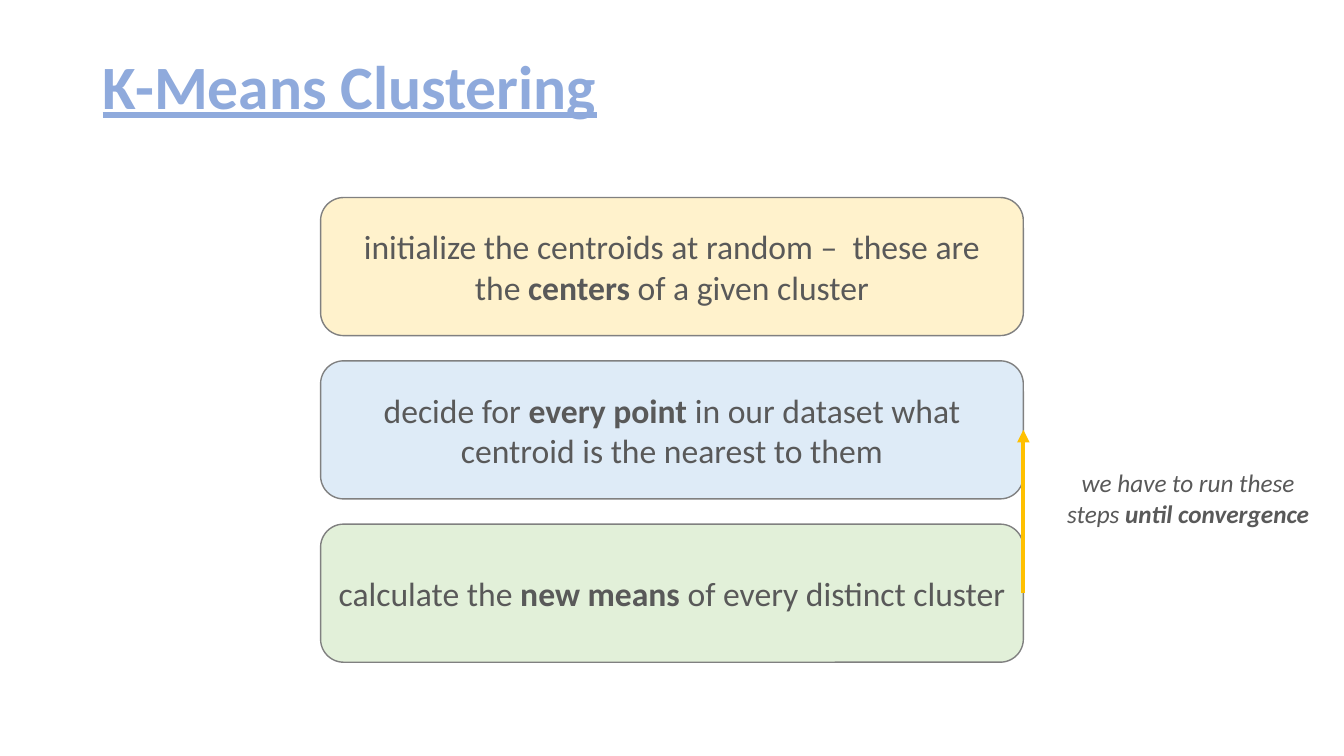
"""Build the K-Means Clustering slide."""
import dataclasses

import lxml.etree
import pptx
import pptx.dml.color
import pptx.enum.shapes
import pptx.enum.text
import pptx.oxml.ns
import pptx.util

Inches = pptx.util.Inches
Pt = pptx.util.Pt
Align = pptx.enum.text.PP_ALIGN
Anchor = pptx.enum.text.MSO_ANCHOR

WIDE, HIGH = 13.33, 7.5
LEFT, TOP, WIDTH, HEIGHT, PITCH = 3.18, 1.96, 6.97, 1.37, 1.62
RIGHT = 3
BEND = 228601
GREY, GOLD = "595959", "FFC000"


@dataclasses.dataclass
class Step:
    text: str
    fill: str


STEPS = [
    Step("initialize the centroids at random –  these are the *centers* of a given cluster", "FFF2CC"),
    Step("decide for *every point *in our dataset what centroid is the nearest to them", "DEEBF7"),
    Step("calculate the *new means *of every distinct cluster", "E2F0D9"),
]


def color(code: str) -> pptx.dml.color.RGBColor:
    """Turn a hex string into a colour."""
    return pptx.dml.color.RGBColor.from_string(code)


def write(frame, text: str, *, size: float, ink: str = GREY, align=Align.CENTER,
          anchor=Anchor.MIDDLE, wrap: bool = True, space: float = 1.0,
          bold: bool = False, italic: bool = False, under: bool = False) -> None:
    """Fill a frame, one paragraph a line, with starred parts in bold."""
    frame.word_wrap = wrap
    frame.vertical_anchor = anchor
    for row, line in enumerate(text.split("\n")):
        para = frame.add_paragraph() if row else frame.paragraphs[0]
        para.alignment = align
        para.line_spacing = space
        for part, words in enumerate(line.split("*")):
            if not words:
                continue
            run = para.add_run()
            run.text = words
            font = run.font
            font.name = "Calibri"
            font.size = Pt(size)
            font.color.rgb = color(ink)
            font.bold = bold or part % 2 == 1
            font.italic = italic
            font.underline = under


def add_step(slide, step: Step, row: int):
    """Draw one rounded box of the stack."""
    box = slide.shapes.add_shape(
        pptx.enum.shapes.MSO_SHAPE.ROUNDED_RECTANGLE,
        Inches(LEFT), Inches(TOP + row * PITCH), Inches(WIDTH), Inches(HEIGHT))
    box.shadow.inherit = False
    box.fill.solid()
    box.fill.fore_color.rgb = color(step.fill)
    box.line.color.rgb = color("808080")
    box.line.width = Pt(1)
    write(box.text_frame, step.text, size=24)
    return box


def add_loop(slide, start, end) -> None:
    """Draw the bent arrow that leads back from one box to another."""
    side = start.left + start.width
    loop = slide.shapes.add_connector(
        pptx.enum.shapes.MSO_CONNECTOR.ELBOW,
        side, start.top + start.height // 2, side, end.top + end.height // 2)
    loop.begin_connect(start, RIGHT)
    loop.end_connect(end, RIGHT)
    loop.line.color.rgb = color(GOLD)
    loop.line.width = Pt(3)
    props = loop._element.spPr
    qn = pptx.oxml.ns.qn
    lxml.etree.SubElement(props.find(qn("a:ln")), qn("a:tailEnd"), type="triangle")
    lxml.etree.SubElement(props, qn("a:effectLst"))
    guides = props.find(qn("a:prstGeom")).find(qn("a:avLst"))
    lxml.etree.SubElement(guides, qn("a:gd"), name="adj1", fmla=f"val {BEND}")


def main() -> None:
    """Build and save the slide."""
    deck = pptx.Presentation()
    deck.slide_width, deck.slide_height = Inches(WIDE), Inches(HIGH)
    slide = deck.slides.add_slide(deck.slide_layouts[6])

    title = slide.shapes.add_textbox(Inches(0.92), Inches(0.16), Inches(11.5), Inches(1.45))
    write(title.text_frame, "K-Means Clustering", size=44, ink="8FAADC",
          align=Align.LEFT, space=0.9, bold=True, under=True)

    first, near, means = [add_step(slide, step, row) for row, step in enumerate(STEPS)]
    add_loop(slide, means, near)

    note = slide.shapes.add_textbox(Inches(10.47), Inches(4.59), Inches(2.63), Inches(0.71))
    write(note.text_frame, "we have to run these\nsteps *until convergence*", size=18,
          anchor=Anchor.TOP, wrap=False, italic=True)

    deck.save("out.pptx")


if __name__ == "__main__":
    main()
